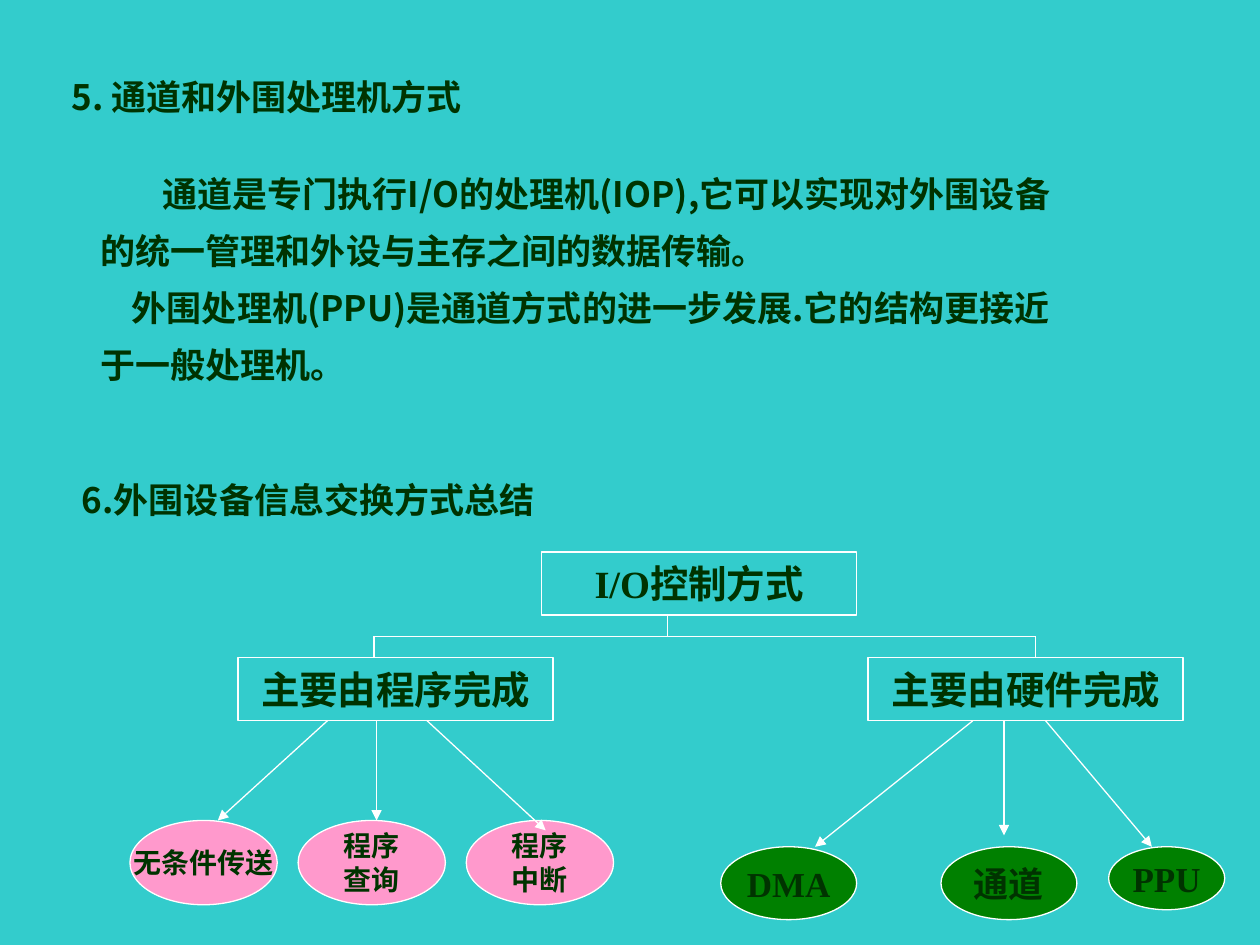
from dataclasses import dataclass

from lxml.etree import SubElement
from pptx import Presentation
from pptx.dml.color import RGBColor
from pptx.enum.shapes import MSO_CONNECTOR, MSO_SHAPE
from pptx.enum.text import MSO_ANCHOR, MSO_AUTO_SIZE, PP_ALIGN
from pptx.oxml.ns import qn
from pptx.slide import Slide
from pptx.text.text import TextFrame
from pptx.util import Cm, Pt


@dataclass(frozen=True)
class Theme:
    background: RGBColor = RGBColor(0x33, 0xCC, 0xCC)
    ink: RGBColor = RGBColor(0x00, 0x33, 0x00)
    outline: RGBColor = RGBColor(0xFF, 0xFF, 0xFF)
    software: RGBColor = RGBColor(0xFF, 0x99, 0xCC)
    hardware: RGBColor = RGBColor(0x00, 0x80, 0x00)
    sans: str = "Noto Sans CJK SC"
    serif: str = "Times New Roman"
    body_size: float = 20
    box_size: float = 22
    small_size: float = 16
    line_width: float = 0.75


@dataclass(frozen=True)
class Node:
    text: str
    left: float
    top: float
    width: float
    height: float
    shape: MSO_SHAPE
    fill: RGBColor
    size: float


@dataclass(frozen=True)
class Link:
    start_x: float
    start_y: float
    end_x: float
    end_y: float
    arrow: bool = False


THEME = Theme()

HEADINGS = [
    ("5. 通道和外围处理机方式", 1.19, 1.4, 9.2),
    ("6.外围设备信息交换方式总结", 1.4, 9.53, 10.36),
]
BODY = [
    ("通道是专门执行I/O的处理机(IOP),它可以实现对外围设备", 1.24),
    ("的统一管理和外设与主存之间的数据传输。", 0),
    ("外围处理机(PPU)是通道方式的进一步发展.它的结构更接近", 0.63),
    ("于一般处理机。", 0),
]

BOX_WIDTH, BOX_HEIGHT = 6.35, 1.27
ROOT_TOP, BRANCH_TOP, BUS_Y = 11.13, 13.26, 12.83
ROOT_BOTTOM, BRANCH_BOTTOM = ROOT_TOP + BOX_HEIGHT, BRANCH_TOP + BOX_HEIGHT
SOFTWARE_LEFT, SOFTWARE_PITCH, SOFTWARE_TOP = 2.62, 3.39, 16.54
HARDWARE_TOP = 17.07
BUS_LEFT, BUS_RIGHT, ROOT_STEM = 7.54, 20.88, 13.46

BOXES = [
    Node(text, left, top, BOX_WIDTH, BOX_HEIGHT, MSO_SHAPE.RECTANGLE,
         THEME.background, THEME.box_size)
    for text, left, top in [
        ("I/O控制方式", 10.92, ROOT_TOP),
        ("主要由程序完成", 4.8, BRANCH_TOP),
        ("主要由硬件完成", 17.5, BRANCH_TOP),
    ]
]
SOFTWARE_METHODS = [
    Node(text, SOFTWARE_LEFT + index * SOFTWARE_PITCH, SOFTWARE_TOP, 2.97, 1.7,
         MSO_SHAPE.OVAL, THEME.software, THEME.small_size)
    for index, text in enumerate(["无条件传送", "程序\n查询", "程序\n中断"])
]
HARDWARE_METHODS = [
    Node(text, left, HARDWARE_TOP, width, height, MSO_SHAPE.OVAL,
         THEME.hardware, THEME.body_size)
    for text, left, width, height in [
        ("DMA", 14.53, 2.74, 1.47),
        ("通道", 18.97, 2.74, 1.47),
        ("PPU", 22.35, 2.34, 1.27),
    ]
]
BUS = [
    Link(ROOT_STEM, ROOT_BOTTOM, ROOT_STEM, BUS_Y),
    Link(BUS_LEFT, BUS_Y, BUS_RIGHT, BUS_Y),
    Link(BUS_LEFT, BRANCH_TOP, BUS_LEFT, BUS_Y),
    Link(BUS_RIGHT, BUS_Y, BUS_RIGHT, BRANCH_TOP),
]
ARROWS = [
    Link(start_x, BRANCH_BOTTOM, end_x, end_y, arrow=True)
    for start_x, end_x, end_y in [
        (6.6, 4.39, SOFTWARE_TOP),
        (7.59, 7.59, SOFTWARE_TOP),
        (8.61, 11.0, 16.74),
        (19.61, 16.43, HARDWARE_TOP),
        (20.24, 20.24, 16.84),
        (21.08, 23.22, HARDWARE_TOP),
    ]
]


def write_paragraph(frame: TextFrame, text: str, *, first: bool, size: float,
                    font: str, align: PP_ALIGN = PP_ALIGN.LEFT, indent: float = 0,
                    line_spacing: float = 1, space_before: float = 0) -> None:
    para = frame.paragraphs[0] if first else frame.add_paragraph()
    para.alignment = align
    para.line_spacing = line_spacing
    para.space_before = Pt(0 if first else space_before)
    if indent:
        para._p.get_or_add_pPr().set("indent", str(Cm(indent)))
    span = para.add_run()
    span.text = text
    span.font.name = font
    span.font.size = Pt(size)
    span.font.bold = True
    span.font.color.rgb = THEME.ink
    SubElement(span._r.get_or_add_rPr(), qn("a:ea"), typeface=THEME.sans)


def add_text_frame(page: Slide, left: float, top: float, width: float,
                   height: float) -> TextFrame:
    box = page.shapes.add_textbox(Cm(left), Cm(top), Cm(width), Cm(height))
    frame = box.text_frame
    frame.word_wrap = True
    frame.auto_size = MSO_AUTO_SIZE.SHAPE_TO_FIT_TEXT
    return frame


def draw_node(page: Slide, node: Node) -> None:
    box = page.shapes.add_shape(node.shape, Cm(node.left), Cm(node.top),
                                Cm(node.width), Cm(node.height))
    box.shadow.inherit = False
    box.fill.solid()
    box.fill.fore_color.rgb = node.fill
    box.line.color.rgb = THEME.outline
    box.line.width = Pt(THEME.line_width)
    frame = box.text_frame
    frame.word_wrap = False
    frame.vertical_anchor = MSO_ANCHOR.MIDDLE
    for index, text in enumerate(node.text.split("\n")):
        write_paragraph(frame, text, first=index == 0, size=node.size,
                        font=THEME.serif, align=PP_ALIGN.CENTER)


def draw_link(page: Slide, link: Link) -> None:
    connector = page.shapes.add_connector(
        MSO_CONNECTOR.STRAIGHT, Cm(link.start_x), Cm(link.start_y),
        Cm(link.end_x), Cm(link.end_y))
    connector.line.color.rgb = THEME.outline
    connector.line.width = Pt(THEME.line_width)
    if link.arrow:
        SubElement(connector.line._get_or_add_ln(), qn("a:tailEnd"), type="triangle")
    SubElement(connector._element.spPr, qn("a:effectLst"))


def main() -> None:
    deck = Presentation()
    deck.slide_width, deck.slide_height = Cm(25.4), Cm(19.05)
    page = deck.slides.add_slide(deck.slide_layouts[6])
    page.background.fill.solid()
    page.background.fill.fore_color.rgb = THEME.background

    for text, left, top, width in HEADINGS:
        frame = add_text_frame(page, left, top, width, 1.12)
        write_paragraph(frame, text, first=True, size=THEME.body_size, font=THEME.sans)

    frame = add_text_frame(page, 1.78, 3.18, 22.23, 4.83)
    for index, (text, indent) in enumerate(BODY):
        write_paragraph(frame, text, first=index == 0, size=THEME.body_size,
                        font=THEME.sans, indent=indent, line_spacing=1.2,
                        space_before=3.7)

    for node in BOXES + SOFTWARE_METHODS + HARDWARE_METHODS:
        draw_node(page, node)
    for link in BUS + ARROWS:
        draw_link(page, link)

    deck.save("out.pptx")


if __name__ == "__main__":
    main()
